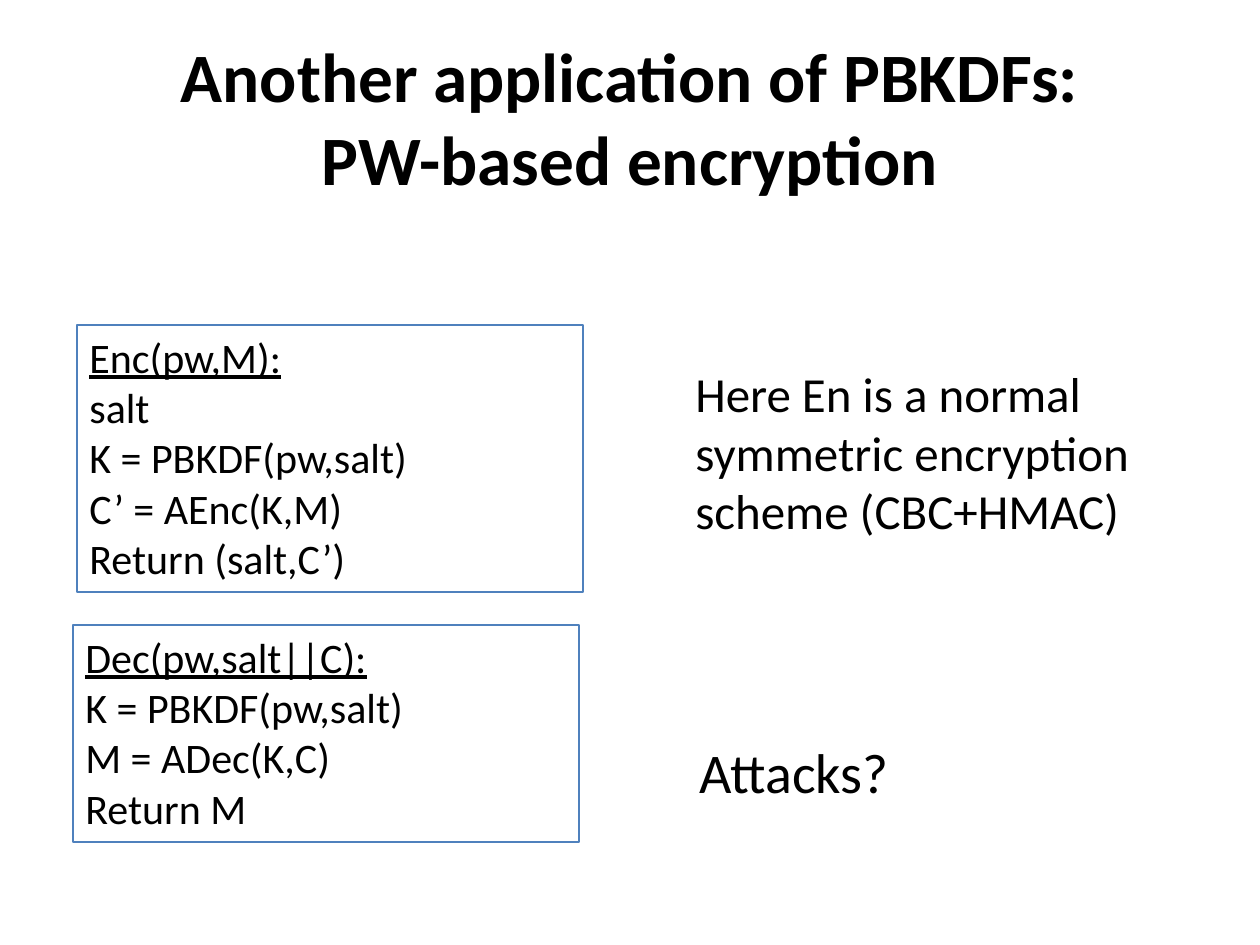
"""Build a slide on password-based encryption with two framed algorithms."""
from dataclasses import dataclass

from pptx import Presentation
from pptx.dml.color import RGBColor
from pptx.enum.shapes import MSO_SHAPE
from pptx.enum.text import MSO_ANCHOR, PP_ALIGN
from pptx.slide import Slide
from pptx.text.text import TextFrame
from pptx.util import Emu, Inches, Pt

RECTANGLE = MSO_SHAPE.RECTANGLE
TOP, MIDDLE = MSO_ANCHOR.TOP, MSO_ANCHOR.MIDDLE
LEFT, CENTER = PP_ALIGN.LEFT, PP_ALIGN.CENTER

PX_PER_INCH = 126
FONT = "Calibri"
BLACK = RGBColor(0x00, 0x00, 0x00)
BLUE = RGBColor(0x4F, 0x81, 0xBD)


@dataclass(frozen=True)
class Box:
    left: int
    top: int
    width: int
    height: int


@dataclass(frozen=True)
class Algorithm:
    box: Box
    signature: str
    steps: tuple[str, ...]


@dataclass(frozen=True)
class Note:
    box: Box
    lines: tuple[str, ...]
    size: float


TITLE_BOX = Box(63, 38, 1134, 157)
TITLE_LINES = ("Another application of PBKDFs:", "PW-based encryption")
TITLE_SIZE = 39.6
ALGORITHM_SIZE = 24

ALGORITHMS = (
    Algorithm(
        Box(77, 325, 506, 267),
        "Enc(pw,M):",
        ("salt", "K = PBKDF(pw,salt)", "C’ = AEnc(K,M)", "Return (salt,C’)"),
    ),
    Algorithm(
        Box(73, 625, 506, 217),
        "Dec(pw,salt||C):",
        ("K = PBKDF(pw,salt)", "M = ADec(K,C)", "Return M"),
    ),
)

NOTES = (
    Note(
        Box(683, 357, 465, 190),
        ("Here En is a normal", "symmetric encryption", "scheme (CBC+HMAC)"),
        28,
    ),
    Note(Box(687, 731, 219, 81), ("Attacks?",), 32),
)


def px(length: int) -> Emu:
    return Emu(round(length * Inches(1) / PX_PER_INCH))


def place(box: Box) -> tuple[Emu, Emu, Emu, Emu]:
    return px(box.left), px(box.top), px(box.width), px(box.height)


def add_run(paragraph, text: str, size: float, bold: bool = False, underline: bool = False) -> None:
    run = paragraph.add_run()
    run.text = text
    run.font.name = FONT
    run.font.size = Pt(size)
    run.font.color.rgb = BLACK
    run.font.bold = bold
    run.font.underline = underline


def write_lines(frame: TextFrame, lines: tuple[str, ...], size: float, underline_first: bool = False) -> None:
    for index, line in enumerate(lines):
        paragraph = frame.add_paragraph() if index else frame.paragraphs[0]
        paragraph.alignment = LEFT
        add_run(paragraph, line, size, underline=underline_first and index == 0)


def add_title(slide: Slide) -> None:
    frame = slide.shapes.add_textbox(*place(TITLE_BOX)).text_frame
    frame.word_wrap = True
    frame.vertical_anchor = MIDDLE
    paragraph = frame.paragraphs[0]
    paragraph.alignment = CENTER
    for index, line in enumerate(TITLE_LINES):
        if index:
            paragraph.add_line_break()
        add_run(paragraph, line, TITLE_SIZE, bold=True)


def add_algorithm(slide: Slide, algorithm: Algorithm) -> None:
    shape = slide.shapes.add_shape(RECTANGLE, *place(algorithm.box))
    shape.shadow.inherit = False
    shape.fill.background()
    shape.line.color.rgb = BLUE
    shape.line.width = Pt(0.75)
    frame = shape.text_frame
    frame.word_wrap = True
    frame.vertical_anchor = TOP
    write_lines(frame, (algorithm.signature, *algorithm.steps), ALGORITHM_SIZE, underline_first=True)


def add_note(slide: Slide, note: Note) -> None:
    frame = slide.shapes.add_textbox(*place(note.box)).text_frame
    frame.word_wrap = False
    write_lines(frame, note.lines, note.size)


def main() -> None:
    presentation = Presentation()
    presentation.slide_width = px(1260)
    presentation.slide_height = px(945)
    slide = presentation.slides.add_slide(presentation.slide_layouts[6])
    add_title(slide)
    for algorithm in ALGORITHMS:
        add_algorithm(slide, algorithm)
    for note in NOTES:
        add_note(slide, note)
    presentation.save("out.pptx")


if __name__ == "__main__":
    main()
